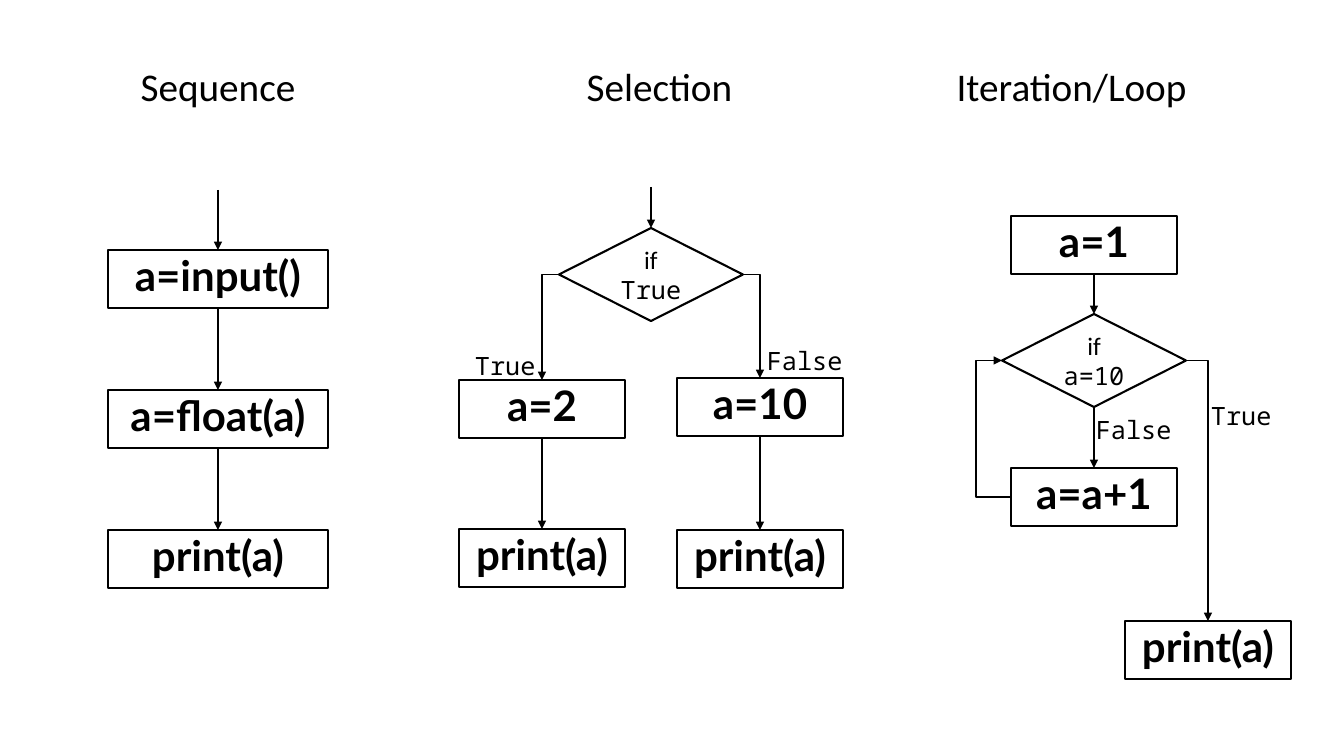
from pptx import Presentation
from pptx.dml.color import RGBColor
from pptx.enum.shapes import MSO_CONNECTOR, MSO_SHAPE
from pptx.enum.text import MSO_ANCHOR, PP_ALIGN
from pptx.oxml.ns import qn
from pptx.util import Pt
from lxml import etree

PX = 9071  # EMU per pixel at 100.8 pixels to the inch
COLORS = {"ink": "000000", "paper": "FFFFFF"}
INK = RGBColor.from_string(COLORS["ink"])
PAPER = RGBColor.from_string(COLORS["paper"])
HEADING, CODE, MONO = "Calibri", "Lato", "Noto Sans Mono"
TOP, LEFT, BOTTOM, RIGHT = range(4)  # connection sites

prs = Presentation()
prs.slide_width, prs.slide_height = 1344 * PX, 756 * PX
slide = prs.slides.add_slide(prs.slide_layouts[6])


def write(target, runs, size, bold=False, align=PP_ALIGN.CENTER):
    target.text_frame.word_wrap = True
    paragraph = target.text_frame.paragraphs[0]
    paragraph.alignment = align
    for words, font in runs:
        run = paragraph.add_run()
        run.text = words
        run.font.name = font
        run.font.size = Pt(size)
        run.font.bold = bold
        run.font.color.rgb = INK
    return paragraph


def finish_arrow(arrow):
    arrow.line.color.rgb = INK
    arrow.line.width = Pt(1)
    line = arrow.line._get_or_add_ln()
    etree.SubElement(line, qn("a:tailEnd"), type="triangle")
    etree.SubElement(arrow._element.spPr, qn("a:effectLst"))


# Column headings
for heading, left, width in [("Sequence", 108, 220), ("Selection", 550, 219),
                             ("Iteration/Loop", 935, 273)]:
    box = slide.shapes.add_textbox(left * PX, 57 * PX, width * PX, 57 * PX)
    write(box, [(heading, HEADING)], 28)

# Statements and decisions
steps = {}
statements = [
    ("input", "a=input()", 108, 250, 220),
    ("float", "a=float(a)", 108, 390, 220),
    ("print", "print(a)", 108, 530, 220),
    ("true", "a=2", 459, 380, 166),
    ("true print", "print(a)", 459, 529, 166),
    ("false", "a=10", 677, 378, 166),
    ("false print", "print(a)", 677, 530, 166),
    ("start", "a=1", 1011, 216, 166),
    ("increment", "a=a+1", 1011, 468, 166),
    ("loop print", "print(a)", 1125, 621, 166),
]
decisions = [("choice", "True", 559, 228, 184), ("loop test", "a=10", 1002, 314, 184)]

for key, code, left, top, width in statements + decisions:
    is_decision = (key, code, left, top, width) in decisions
    kind = MSO_SHAPE.FLOWCHART_DECISION if is_decision else MSO_SHAPE.RECTANGLE
    height = 93 if is_decision else 58
    step = slide.shapes.add_shape(kind, left * PX, top * PX, width * PX, height * PX)
    step.shadow.inherit = False
    step.line.color.rgb = INK
    step.line.width = Pt(1.5)
    if is_decision:
        step.fill.background()
        step.text_frame.vertical_anchor = MSO_ANCHOR.MIDDLE
        write(step, [("if ", HEADING), (code, MONO)], 18)
    else:
        step.fill.solid()
        step.fill.fore_color.rgb = PAPER
        step.text_frame.vertical_anchor = MSO_ANCHOR.TOP
        paragraph = write(step, [(code, CODE)], 30, bold=True)
        paragraph.line_spacing = 0.9
        paragraph.space_before = Pt(10)
    steps[key] = step

# Entry arrows
for key, entry_top in [("input", 190), ("choice", 187)]:
    step = steps[key]
    center = step.left + step.width // 2
    arrow = slide.shapes.add_connector(
        MSO_CONNECTOR.STRAIGHT, center, entry_top * PX, center, step.top)
    arrow.end_connect(step, TOP)
    finish_arrow(arrow)

# Straight flow, bottom to top
for source, target in [("input", "float"), ("float", "print"),
                       ("true", "true print"), ("false", "false print"),
                       ("start", "loop test"), ("loop test", "increment")]:
    arrow = slide.shapes.add_connector(MSO_CONNECTOR.STRAIGHT, 0, 0, 0, 0)
    arrow.begin_connect(steps[source], BOTTOM)
    arrow.end_connect(steps[target], TOP)
    finish_arrow(arrow)

# Branches with one bend, and the loop back with two
for source, exit_site, target, entry_site in [
        ("choice", LEFT, "true", TOP), ("choice", RIGHT, "false", TOP),
        ("loop test", RIGHT, "loop print", TOP),
        ("increment", LEFT, "loop test", LEFT)]:
    arrow = slide.shapes.add_connector(MSO_CONNECTOR.ELBOW, 0, 0, 0, 0)
    arrow.begin_connect(steps[source], exit_site)
    arrow.end_connect(steps[target], entry_site)
    geometry = arrow._element.spPr.find(qn("a:prstGeom"))
    if entry_site == TOP:
        geometry.set("prst", "bentConnector2")
    else:
        bend = round(35 * PX / arrow.width * 100000)
        etree.SubElement(geometry.find(qn("a:avLst")), qn("a:gd"),
                         name="adj1", fmla=f"val {bend}")
    finish_arrow(arrow)

# Branch labels
for label, left, top in [("True", 465, 345), ("False", 757, 340),
                         ("False", 1086, 409), ("True", 1201, 395)]:
    box = slide.shapes.add_textbox(left * PX, top * PX, 97 * PX, 40 * PX)
    write(box, [(label, MONO)], 18, align=PP_ALIGN.LEFT)

prs.save("out.pptx")
